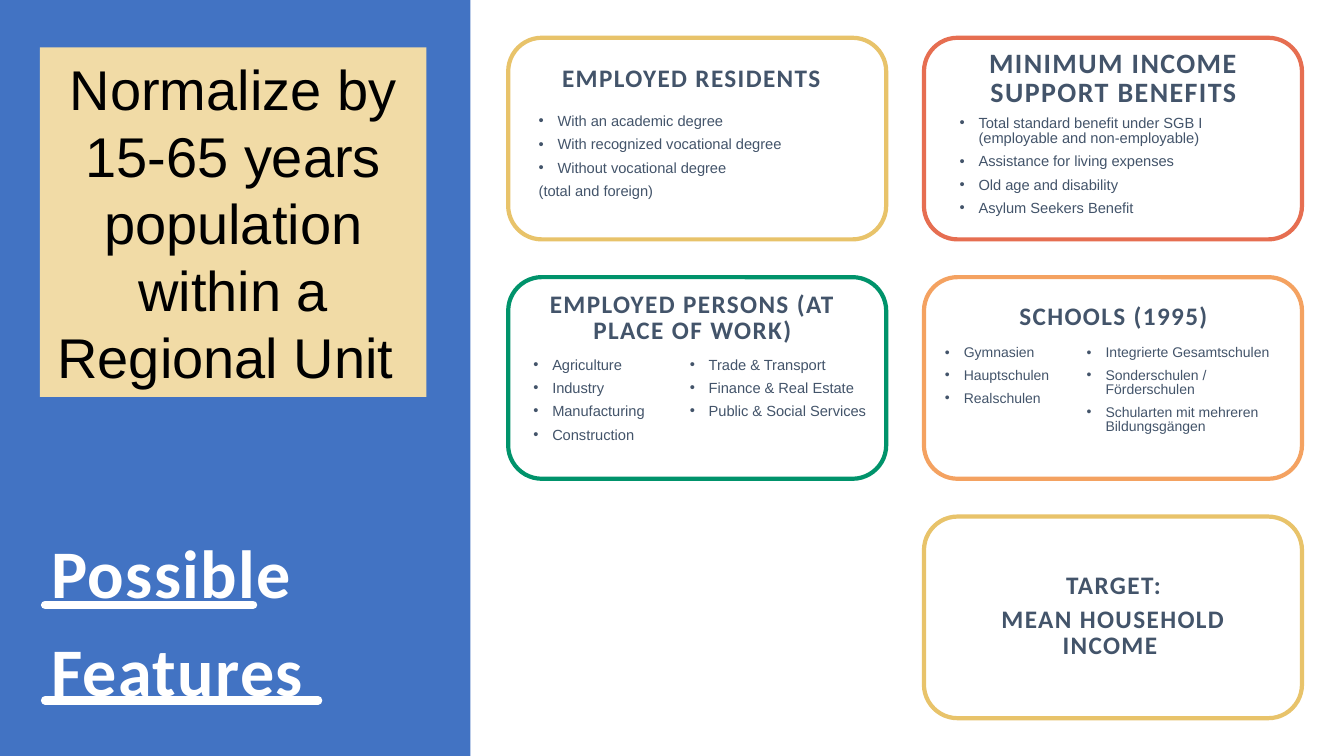
from dataclasses import dataclass

from lxml import etree
from pptx import Presentation
from pptx import util as u
from pptx.dml.color import RGBColor
from pptx.enum import shapes, text
from pptx.oxml.ns import qn

PX = 9525


@dataclass(frozen=True)
class Theme:
    blue: str = "4273C3"
    white: str = "FFFFFF"
    black: str = "000000"
    slate: str = "43546A"
    sand: str = "F1DBA6"
    gold: str = "E8C36A"
    green: str = "00936B"
    red: str = "E66E51"
    orange: str = "F4A261"
    head_font: str = "Calibri"
    body_font: str = "Arial"
    title: float = 48.6
    note: float = 40
    head: float = 18
    head_large: float = 20
    body: float = 10.5
    body_small: float = 10


T = Theme()
HEAD = {"name": T.head_font, "bold": True}
LIST_SPACING = {"line_spacing": 0.85, "space_after": u.Pt(6)}
CARD_X, CARD_Y, CARD_W, CARD_H = 484, 36, 360, 192
STEP_X, STEP_Y = 396, 228

CARDS = [
    (0, 0, T.gold), (0, 1, T.green),
    (1, 0, T.red), (1, 1, T.orange), (1, 2, T.gold),
]
HEADINGS = [
    ((505, 58, 307, 37), ["EMPLOYED RESIDENTS"], T.head),
    ((912, 69, 297, 41), ["MINIMUM INCOME SUPPORT BENEFITS"], T.head_large),
    ((511, 294, 297, 41), ["EMPLOYED PERSONS (AT PLACE OF WORK)"], T.head),
    ((912, 281, 297, 41), ["SCHOOLS (1995)"], T.head),
    ((912, 594, 297, 41), ["TARGET:", "MEAN HOUSEHOLD INCOME "], T.head),
]
LISTS = [
    ((501, 102, 317, 115), T.body, [
        "With an academic degree", "With recognized vocational degree",
        "Without vocational degree"], ["(total and foreign)"]),
    ((902, 104, 317, 111), T.body, [
        "Total standard benefit under SGB I (employable and non-employable)",
        "Assistance for living expenses", "Old age and disability",
        "Asylum Seekers Benefit"], []),
    ((496, 334, 287, 111), T.body, [
        "Agriculture", "Industry", "Manufacturing", "Construction"], []),
    ((645, 334, 287, 111), T.body, [
        "Trade & Transport", "Finance & Real Estate",
        "Public & Social Services"], []),
    ((888, 323, 135, 111), T.body_small, [
        "Gymnasien", "Hauptschulen", "Realschulen"], []),
    ((1023, 323, 226, 111), T.body_small, [
        "Integrierte Gesamtschulen", "Sonderschulen / Förderschulen",
        "Schularten mit mehreren Bildungsgängen"], []),
]


def px(*values):
    return [u.Emu(v * PX) for v in values]


def apply(target, formats):
    for name, value in formats.items():
        setattr(target, name, value)


def add_box(s, kind, box, fill=None, line=None):
    sp = s.shapes.add_shape(kind, *px(*box))
    sp.shadow.inherit = False
    if fill:
        sp.fill.solid()
        sp.fill.fore_color.rgb = RGBColor.from_string(fill)
    else:
        sp.fill.background()
    if line:
        sp.line.color.rgb = RGBColor.from_string(line)
        sp.line.width = u.Pt(3)
    else:
        sp.line.fill.background()
    return sp


def add_underline(s, x1, x2, y):
    sp = s.shapes.add_connector(shapes.MSO_CONNECTOR.STRAIGHT, *px(x1, y, x2, y))
    sp.line.color.rgb = RGBColor.from_string(T.white)
    sp.line.width = u.Pt(6)
    sp.line._get_or_add_ln().set("cap", "rnd")
    etree.SubElement(sp._element.spPr, qn("a:effectLst"))


def add_text_box(s, box, anchor=text.MSO_ANCHOR.TOP):
    tf = s.shapes.add_textbox(*px(*box)).text_frame
    left, top = px(12, 7)
    apply(tf, {
        "word_wrap": True, "vertical_anchor": anchor,
        "margin_left": left, "margin_right": left,
        "margin_top": top, "margin_bottom": top,
    })
    return tf


def add_bullet(p):
    pPr = p._p.get_or_add_pPr()
    indent = px(18)[0]
    pPr.set("marL", str(indent))
    pPr.set("indent", str(-indent))
    etree.SubElement(pPr, qn("a:buFont")).set("typeface", T.body_font)
    etree.SubElement(pPr, qn("a:buChar")).set("char", "•")


def write(tf, lines, font, color, paragraph, bullets=0, spacing=0):
    for i, line in enumerate(lines):
        p = tf.paragraphs[0] if i == 0 else tf.add_paragraph()
        if i < bullets:
            add_bullet(p)
        apply(p, paragraph)
        r = p.add_run()
        r.text = line
        apply(r.font, font)
        r.font.color.rgb = RGBColor.from_string(color)
        if spacing:
            r._r.get_or_add_rPr().set("spc", str(spacing))


def add_title(s):
    tf = add_text_box(s, (37, 483, 310, 177))
    write(tf, ["Possible Features"], HEAD | {"size": u.Pt(T.title)}, T.white,
          {"line_spacing": u.Pt(70)}, spacing=100)


def add_heading(s, box, lines, size):
    tf = add_text_box(s, box, text.MSO_ANCHOR.BOTTOM)
    write(tf, lines, HEAD | {"size": u.Pt(size)}, T.slate,
          LIST_SPACING | {"alignment": text.PP_ALIGN.CENTER}, spacing=100)


def add_list(s, box, size, items, closing):
    tf = add_text_box(s, box)
    write(tf, items + closing, {"name": T.body_font, "size": u.Pt(size)},
          T.slate, LIST_SPACING, bullets=len(items))


def add_note(s):
    sp = add_box(s, shapes.MSO_SHAPE.RECTANGLE, (38, 45, 368, 333), T.sand)
    tf = sp.text_frame
    apply(tf, {
        "word_wrap": True, "vertical_anchor": text.MSO_ANCHOR.MIDDLE,
        "auto_size": text.MSO_AUTO_SIZE.SHAPE_TO_FIT_TEXT,
    })
    write(tf, ["Normalize by 15-65 years population within a Regional Unit "],
          {"name": T.body_font, "size": u.Pt(T.note)}, T.black,
          {"alignment": text.PP_ALIGN.CENTER})


def main():
    prs = Presentation()
    prs.slide_width, prs.slide_height = px(1280, 720)
    s = prs.slides.add_slide(prs.slide_layouts[6])
    add_box(s, shapes.MSO_SHAPE.RECTANGLE, (0, 0, 448, 720), T.blue)
    add_underline(s, 43, 241, 576)
    add_underline(s, 43, 303, 667)
    for col, row, color in CARDS:
        box = (CARD_X + col * STEP_X, CARD_Y + row * STEP_Y, CARD_W, CARD_H)
        add_box(s, shapes.MSO_SHAPE.ROUNDED_RECTANGLE, box, line=color)
    add_title(s)
    for heading in HEADINGS:
        add_heading(s, *heading)
    for entry in LISTS:
        add_list(s, *entry)
    add_note(s)
    prs.save("out.pptx")


if __name__ == "__main__":
    main()
